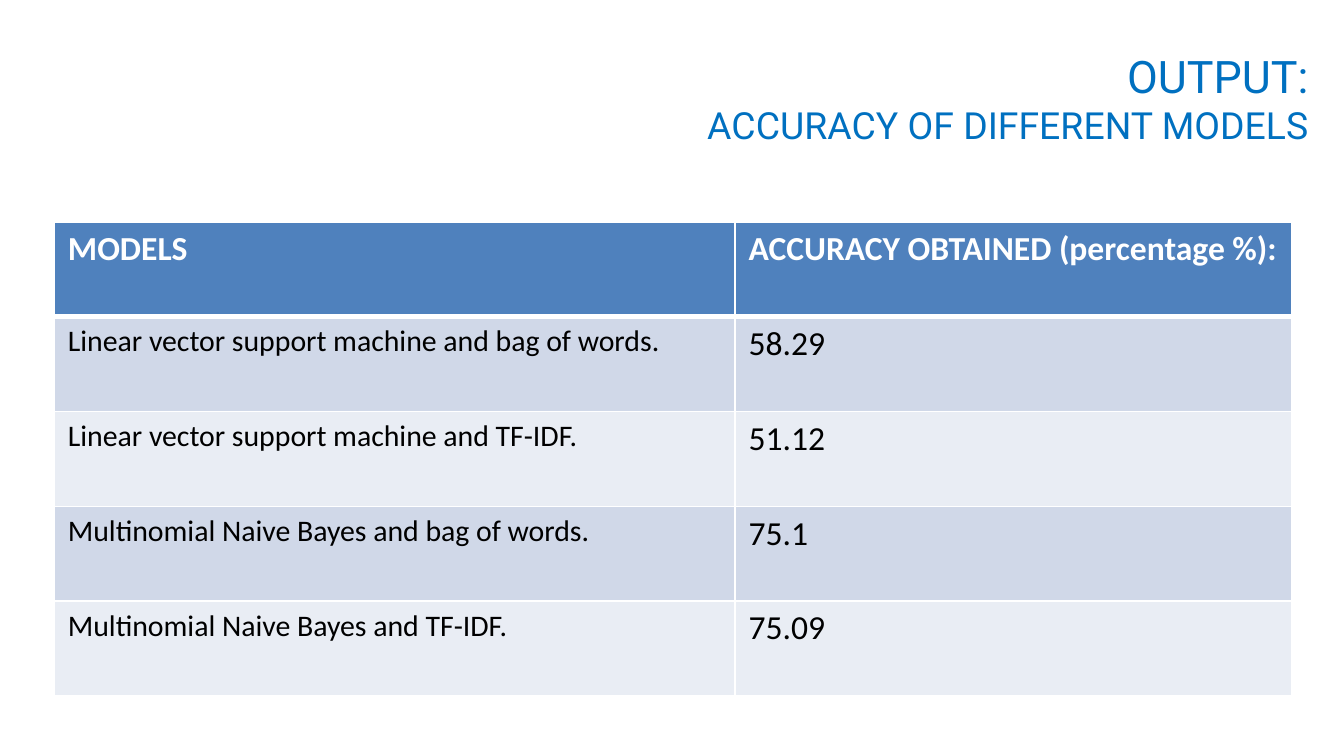
from lxml.etree import SubElement
from pptx import Presentation
from pptx.dml.color import RGBColor
from pptx.enum.text import MSO_ANCHOR, PP_ALIGN
from pptx.oxml.ns import qn
from pptx.util import Pt

PX = 4572  # EMU per px, 200 px to the inch

WHITE = RGBColor(0xFF, 0xFF, 0xFF)
BLACK = RGBColor(0x00, 0x00, 0x00)
TITLE_BLUE = RGBColor(0x00, 0x70, 0xC0)
HEADER_BLUE = RGBColor(0x4F, 0x81, 0xBD)
BANDS = (RGBColor(0xD0, 0xD8, 0xE8), RGBColor(0xE9, 0xED, 0xF4))

HEADER = ("MODELS", "ACCURACY OBTAINED (percentage %):")
RESULTS = [
    ("Linear vector support machine and bag of words.", "58.29"),
    ("Linear vector support machine and TF-IDF.", "51.12"),
    ("Multinomial Naive Bayes and bag of words.", "75.1"),
    ("Multinomial Naive Bayes and TF-IDF.", "75.09"),
]


def add_text(paragraph, text, *, size, color, font="Calibri", bold=False):
    run = paragraph.add_run()
    run.text = text
    run.font.size = Pt(size)
    run.font.name = font
    run.font.bold = bold
    run.font.color.rgb = color


def set_borders(cell, **widths):
    """Draw white cell edges; widths maps L, R, T, B to points."""
    properties = cell._tc.get_or_add_tcPr()
    for index, (side, width) in enumerate(widths.items()):
        line = properties.makeelement(qn(f"a:ln{side}"), {"w": str(Pt(width))})
        properties.insert(index, line)
        fill = SubElement(line, qn("a:solidFill"))
        SubElement(fill, qn("a:srgbClr"), val=str(WHITE))


def add_title(slide, left, top, width, height):
    shape = slide.shapes.add_textbox(left * PX, top * PX, width * PX, height * PX)
    frame = shape.text_frame
    frame.word_wrap = True
    frame.vertical_anchor = MSO_ANCHOR.MIDDLE
    paragraph = frame.paragraphs[0]
    paragraph.alignment = PP_ALIGN.RIGHT
    add_text(paragraph, "OUTPUT:", size=24, color=TITLE_BLUE, font="Roboto")
    paragraph.add_line_break()
    add_text(paragraph, "ACCURACY OF DIFFERENT MODELS", size=20,
             color=TITLE_BLUE, font="Roboto")


def add_accuracy_table(slide, left, top, width, height, model_width):
    rows = [HEADER, *RESULTS]
    table = slide.shapes.add_table(
        len(rows), len(HEADER), left * PX, top * PX, width * PX, height * PX).table
    table.columns[0].width = model_width * PX
    table.columns[1].width = (width - model_width) * PX
    for row, texts in enumerate(rows):
        is_header = row == 0
        for column, text in enumerate(texts):
            cell = table.cell(row, column)
            cell.fill.solid()
            cell.fill.fore_color.rgb = HEADER_BLUE if is_header else BANDS[(row - 1) % 2]
            set_borders(cell, L=1, R=1, T=3 if row == 1 else 1, B=3 if is_header else 1)
            add_text(cell.text_frame.paragraphs[0], text,
                     size=18 if is_header or column == 1 else 16,
                     color=WHITE if is_header else BLACK, bold=is_header)


def main():
    presentation = Presentation()
    presentation.slide_width = 2000 * PX
    presentation.slide_height = 1125 * PX
    slide = presentation.slides.add_slide(presentation.slide_layouts[6])
    slide.background.fill.solid()
    slide.background.fill.fore_color.rgb = WHITE
    add_title(slide, 817, 34, 1150, 224)
    add_accuracy_table(slide, 81, 330, 1842, 706, model_width=1013)
    presentation.save("out.pptx")


if __name__ == "__main__":
    main()
